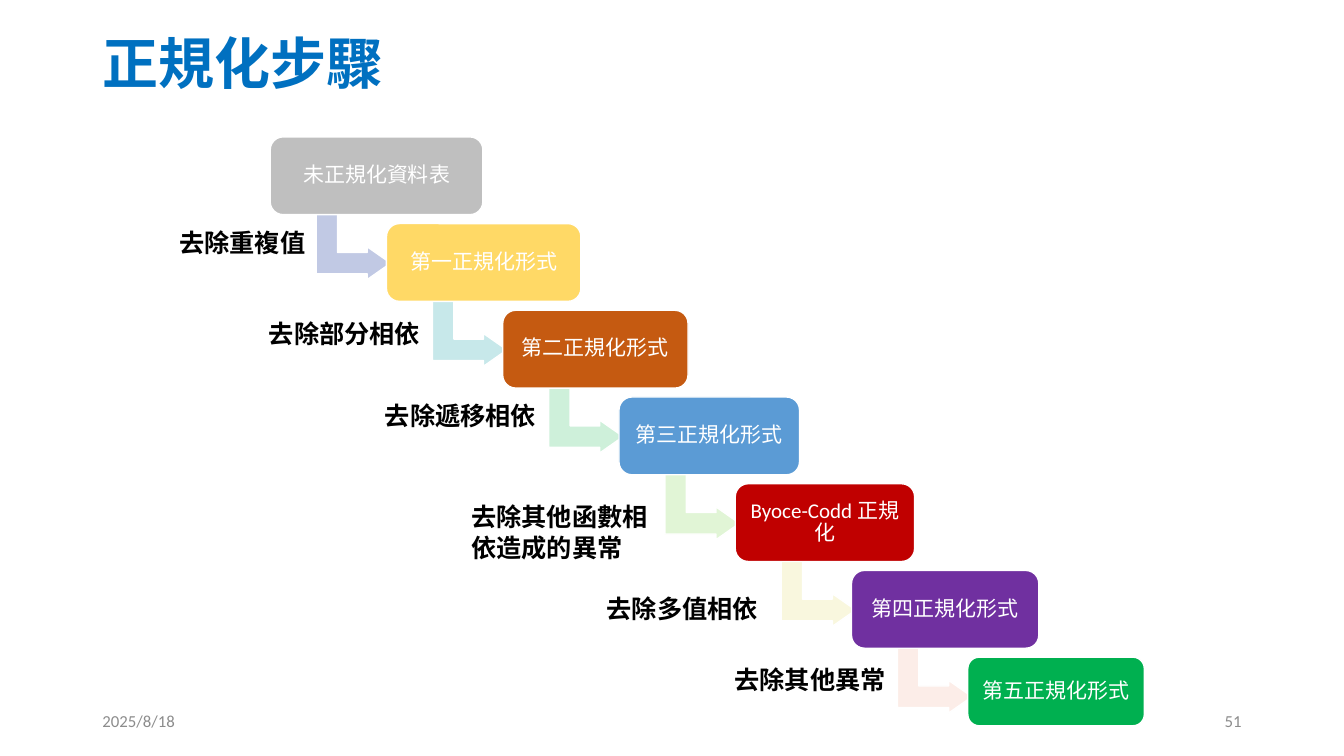
"""Build the slide that shows the steps of database normalisation."""
from lxml.etree import SubElement
from pptx import Presentation
from pptx.dml.color import RGBColor
from pptx.enum.shapes import MSO_SHAPE as Preset
from pptx.enum.text import MSO_ANCHOR as Anchor, MSO_AUTO_SIZE as AutoSize, PP_ALIGN as Align
from pptx.oxml.ns import qn
from pptx.util import Cm, Pt

LATIN_FONT = "Calibri"
CJK_FONT = "Noto Sans CJK SC"
STAIR_LEFT, STAIR_TOP = 6.81, 3.45
STEP_RIGHT, STEP_DOWN = 2.93, 2.185

STEPS = [
    ("未正規化資料表", 5.36, 1.96, "BFBFBF", "C1C9E4"),
    ("第一正規化形式", 4.9, 1.96, "FFD966", "C7E8EA"),
    ("第二正規化形式", 4.67, 1.96, "C55A11", "CEF0DA"),
    ("第三正規化形式", 4.55, 1.96, "5B9BD5", "E1F5D6"),
    ("Byoce-Codd 正規化", 4.52, 1.96, "C00000", "F9F7DE"),
    ("第四正規化形式", 4.72, 1.96, "7030A0", "FCEDE8"),
    ("第五正規化形式", 4.45, 1.73, "00B050", None),
]

LABELS = [
    ("去除重複值", 4.27, 5.61, 3.71, False),
    ("去除部分相依", 6.53, 7.9, 4.37, False),
    ("去除遞移相依", 9.45, 9.96, 4.37, False),
    ("去除其他函數相依造成的異常", 11.63, 12.52, 4.97, True),
    ("去除多值相依", 15.04, 14.83, 4.37, False),
    ("去除其他異常", 18.26, 16.61, 4.37, False),
]


def color(value):
    """Return the colour for a hex string."""
    return RGBColor.from_string(value)


def write_text(shape, text, size, fill, font=LATIN_FONT, bold=False, align=Align.LEFT,
               anchor=Anchor.MIDDLE, spacing=1.0, wrap=True, inset=None):
    """Put one formatted paragraph into a shape."""
    frame = shape.text_frame
    frame.word_wrap = wrap
    frame.auto_size = AutoSize.NONE
    frame.vertical_anchor = anchor
    if inset is not None:
        frame.margin_left = frame.margin_right = Cm(inset)
        frame.margin_top = frame.margin_bottom = Cm(inset)
    paragraph = frame.paragraphs[0]
    paragraph.alignment = align
    paragraph.line_spacing = spacing
    run = paragraph.add_run()
    run.text = text
    run.font.size = Pt(size)
    run.font.bold = bold
    run.font.name = font
    run.font.color.rgb = color(fill)
    SubElement(run.font._element, qn("a:ea"), typeface=CJK_FONT)


def add_title(slide, text):
    """Fill and place the title placeholder."""
    title = slide.shapes.title
    title.left, title.top, title.width, title.height = Cm(2.33), Cm(0.38), Cm(29.21), Cm(2.6)
    write_text(title, text, 40, "0070C0", bold=True, spacing=0.9)


def add_text(slide, text, left, top, width, height, **text_format):
    """Add a text box."""
    box = slide.shapes.add_textbox(Cm(left), Cm(top), Cm(width), Cm(height))
    write_text(box, text, **text_format)


def add_block(slide, preset, left, top, width, height, fill):
    """Add a filled shape with a thin white outline."""
    shape = slide.shapes.add_shape(preset, Cm(left), Cm(top), Cm(width), Cm(height))
    shape.shadow.inherit = False
    shape.fill.solid()
    shape.fill.fore_color.rgb = color(fill)
    shape.line.color.rgb = color("FFFFFF")
    shape.line.width = Pt(1)
    return shape


def add_step(slide, index, text, width, height, fill, arrow_fill):
    """Add one stair box and the bent arrow that leads to the next one."""
    left = STAIR_LEFT + index * STEP_RIGHT
    top = STAIR_TOP + index * STEP_DOWN
    if arrow_fill:
        arrow = add_block(slide, Preset.BENT_UP_ARROW, left + 1.27, top + 1.83, 1.65, 1.88, arrow_fill)
        arrow.rotation = 90
        for position, value in enumerate((0.328, 0.25, 0.358)):
            arrow.adjustments[position] = value
    box = add_block(slide, Preset.ROUNDED_RECTANGLE, left, top, width, height, fill)
    write_text(box, text, 15, "FFFFFF", align=Align.CENTER, spacing=0.9, inset=0.25)


def main():
    """Build and save the presentation."""
    presentation = Presentation()
    presentation.slide_width, presentation.slide_height = Cm(33.87), Cm(19.05)
    slide = presentation.slides.add_slide(presentation.slide_layouts[5])
    add_title(slide, "正規化步驟")
    for text, left, align in (("2025/8/18", 2.33, Align.LEFT), ("51", 23.92, Align.RIGHT)):
        add_text(slide, text, left, 17.66, 7.62, 1.01, size=12, fill="8C8C8C", align=align)
    for index, step in enumerate(STEPS):
        add_step(slide, index, *step)
    for text, left, top, width, wrap in LABELS:
        add_text(slide, text, left, top, width, 1.8 if wrap else 1.03, size=18, fill="000000",
                 font=CJK_FONT, bold=True, anchor=Anchor.TOP, wrap=wrap)
    presentation.save("out.pptx")


if __name__ == "__main__":
    main()
